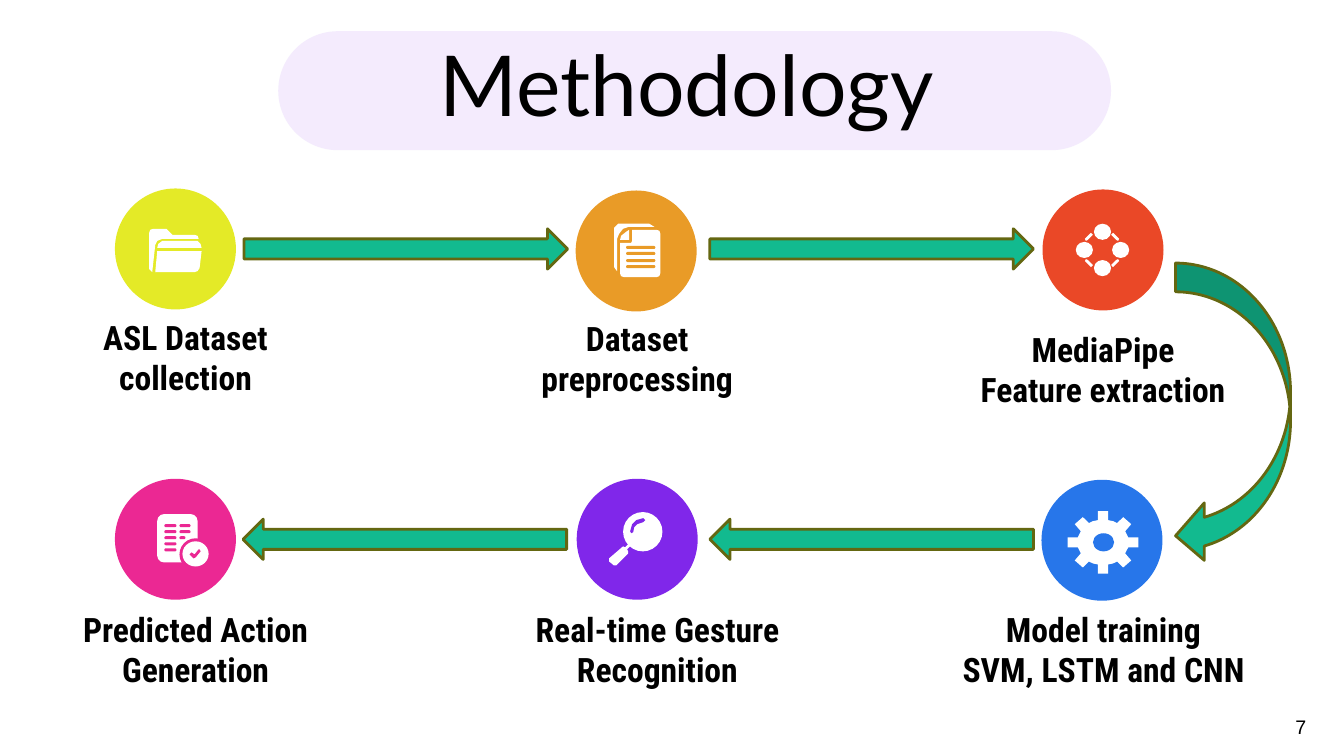
"""Build the Methodology slide: six steps joined by arrows."""
from itertools import product

from lxml.etree import SubElement
from pptx import Presentation
from pptx.dml.color import RGBColor
from pptx.enum.shapes import MSO_SHAPE as SHAPE
from pptx.enum.text import MSO_ANCHOR as ANCHOR, MSO_AUTO_SIZE as AUTO, PP_ALIGN as ALIGN
from pptx.oxml.ns import qn
from pptx.util import Pt

PX = 9144
COLORS = {
    "pill": "EBDCFC", "yellow": "E4EA27", "orange": "E99B27", "red": "EA4827",
    "pink": "EB2893", "purple": "8027EA", "blue": "2776EA",
    "arrow": "12BA8F", "edge": "646711", "white": "FFFFFF", "text": "000000",
}
STEPS = [
    ("yellow", (114, 187), (42, 330, 284), "ASL Dataset collection"),
    ("orange", (571, 189), (490, 331, 284), "Dataset preprocessing"),
    ("red", (1034, 188), (952, 342, 284), "MediaPipe\nFeature extraction"),
    ("blue", (1033, 476), (913, 620, 363), "Model training\nSVM, LSTM and CNN"),
    ("purple", (572, 475), (491, 620, 322), "Real-time Gesture Recognition"),
    ("pink", (114, 475), (37, 620, 314), "Predicted Action Generation"),
]
ARROWS = [
    (SHAPE.CURVED_LEFT_ARROW, (1166, 261, 114, 299), 0),
    (SHAPE.RIGHT_ARROW, (242, 227, 321, 40), 0),
    (SHAPE.RIGHT_ARROW, (704, 227, 321, 40), 0),
    (SHAPE.RIGHT_ARROW, (241, 515, 321, 40), 180),
    (SHAPE.RIGHT_ARROW, (704, 515, 321, 40), 180),
]

deck = Presentation()
deck.slide_width, deck.slide_height = 1333 * PX, 750 * PX
slide = deck.slides.add_slide(deck.slide_layouts[5])
shapes = slide.shapes


def preset(kind, box, color, rounding=None):
    shape = shapes.add_shape(kind, *(value * PX for value in box))
    shape.shadow.inherit = False
    shape.fill.solid()
    shape.fill.fore_color.rgb = RGBColor.from_string(COLORS[color])
    shape.line.fill.background()
    if rounding is not None:
        shape.adjustments[0] = rounding
    return shape


def outline(color, points):
    builder = shapes.build_freeform(*points[0], scale=PX)
    builder.add_line_segments(points[1:], close=True)
    shape = builder.convert_to_shape()
    shape.shadow.inherit = False
    shape.fill.solid()
    shape.fill.fore_color.rgb = RGBColor.from_string(COLORS[color])
    shape.line.fill.background()


pill = preset(SHAPE.ROUNDED_RECTANGLE, (276, 31, 826, 118), "pill", 0.5)
pill_color = pill.fill._xPr.find(qn("a:solidFill"))[0]
SubElement(pill_color, qn("a:alpha"), val="55000")

title = shapes.title
pill.element.addnext(title.element)
title.left, title.top, title.width, title.height = 81 * PX, 31 * PX, 1200 * PX, 118 * PX
heading = title.text_frame
heading.text = "Methodology"
heading.auto_size = AUTO.NONE
heading.vertical_anchor = ANCHOR.TOP
heading.margin_left = heading.margin_right = heading.margin_top = heading.margin_bottom = 13 * PX
heading_line = heading.paragraphs[0]
heading_line.alignment = ALIGN.CENTER
heading_line.line_spacing = 0.9
heading_line.font.name = "Lato"
heading_line.font.size = Pt(60)
heading_line.font.color.rgb = RGBColor.from_string(COLORS["text"])

for color, (x, y), (left, top, width), text in STEPS:
    preset(SHAPE.OVAL, (x, y, 120, 120), color)
    label = shapes.add_textbox(left * PX, top * PX, width * PX, 48 * PX).text_frame
    label.text = text
    label.word_wrap = True
    label.vertical_anchor = ANCHOR.MIDDLE
    label.margin_left = label.margin_right = label.margin_top = label.margin_bottom = 13 * PX
    for line in label.paragraphs:
        line.alignment = ALIGN.CENTER
        line.font.name = "Roboto Condensed"
        line.font.size = Pt(24)
        line.font.bold = True
        line.font.color.rgb = RGBColor.from_string(COLORS["text"])

folder = [
    [(161, 239), (196, 239), (199, 242), (200, 246), (156, 246), (157, 242)],
    [(156, 249), (200, 249), (198, 266), (196, 269), (193, 270), (154, 270)],
    [(152, 227), (165, 227), (171, 233), (193, 233), (196, 234), (197, 237), (161, 237),
     (156, 239), (154, 243), (151, 270), (148, 267), (148, 231), (149, 228)],
]
pages = [
    [(613, 222), (644, 222), (649, 225), (624, 225), (618, 227), (614, 232), (612, 237),
     (612, 269), (609, 265), (609, 226)],
    [(627, 228), (651, 228), (654, 229), (655, 232), (655, 271), (654, 274), (651, 275),
     (619, 275), (616, 274), (615, 271), (615, 241), (626, 241), (627, 239)],
    [(624, 228), (621, 230), (616, 234), (615, 238), (624, 238)],
]
handle = [(623, 540), (620, 543), (618, 542), (604, 554), (604, 557), (609, 561),
          (611, 561), (623, 549), (623, 547), (622, 545), (625, 542)]
for part in [*folder, *pages, handle]:
    outline("white", part)

for y in (244, 250, 257, 263):
    preset(SHAPE.ROUNDED_RECTANGLE, (621, y, 29, 3), "orange", 0.5)

node_link = [(16, 9), (17, 11), (11, 17), (9, 15), (14, 10)]
for dx, dy in [(0, -18), (-18, 0), (18, 0), (0, 18)]:
    preset(SHAPE.OVAL, (1085 + dx, 240 + dy, 17, 16), "white")
for sx, sy in product((-1, 1), repeat=2):
    outline("white", [(1093 + sx * x, 248 + sy * y) for x, y in node_link])

gear_quarter = [(5, -31), (5, -22), (10, -21), (14, -19), (20, -25), (28, -18),
                (22, -11), (25, -5), (35, -5)]
gear = []
for sx, sy, step in [(1, 1, 1), (1, -1, -1), (-1, -1, 1), (-1, 1, -1)]:
    gear += [(1094 + sx * x, 538 + sy * y) for x, y in gear_quarter[::step]]
outline("white", gear)
preset(SHAPE.OVAL, (1084, 529, 21, 18), "blue")

preset(SHAPE.OVAL, (618, 508, 39, 39), "white")
outline("purple", [(638, 514), (640, 516), (638, 518), (632, 520), (629, 523), (628, 528),
                   (626, 529), (625, 527), (627, 520), (631, 516)])

preset(SHAPE.ROUNDED_RECTANGLE, (156, 510, 40, 48), "white", 0.17)
report_rows = [(163, 520 + 6 * row, 12, 3) for row in range(5)]
report_rows += [(178, 520, 11, 3), (178, 526, 11, 3), (178, 532, 6, 3)]
for row_box in report_rows:
    preset(SHAPE.ROUNDED_RECTANGLE, row_box, "pink", 0.5)
preset(SHAPE.OVAL, (178, 534, 32, 32), "pink")
preset(SHAPE.OVAL, (181, 537, 26, 25), "white")
outline("pink", [(198, 545), (199, 547), (194, 553), (192, 554), (188, 550), (190, 548),
                 (193, 550), (197, 545)])

for kind, box, angle in ARROWS:
    arrow = preset(kind, box, "arrow")
    arrow.rotation = angle
    arrow.line.color.rgb = RGBColor.from_string(COLORS["edge"])
    arrow.line.width = Pt(2)

page_number = shapes.add_textbox(1275 * PX, 704 * PX, 50 * PX, 29 * PX).text_frame
page_number.text = "7"
page_number.word_wrap = True
page_number.paragraphs[0].font.name = "Arial"
page_number.paragraphs[0].font.size = Pt(14)
page_number.paragraphs[0].font.color.rgb = RGBColor.from_string(COLORS["text"])

deck.save("out.pptx")
